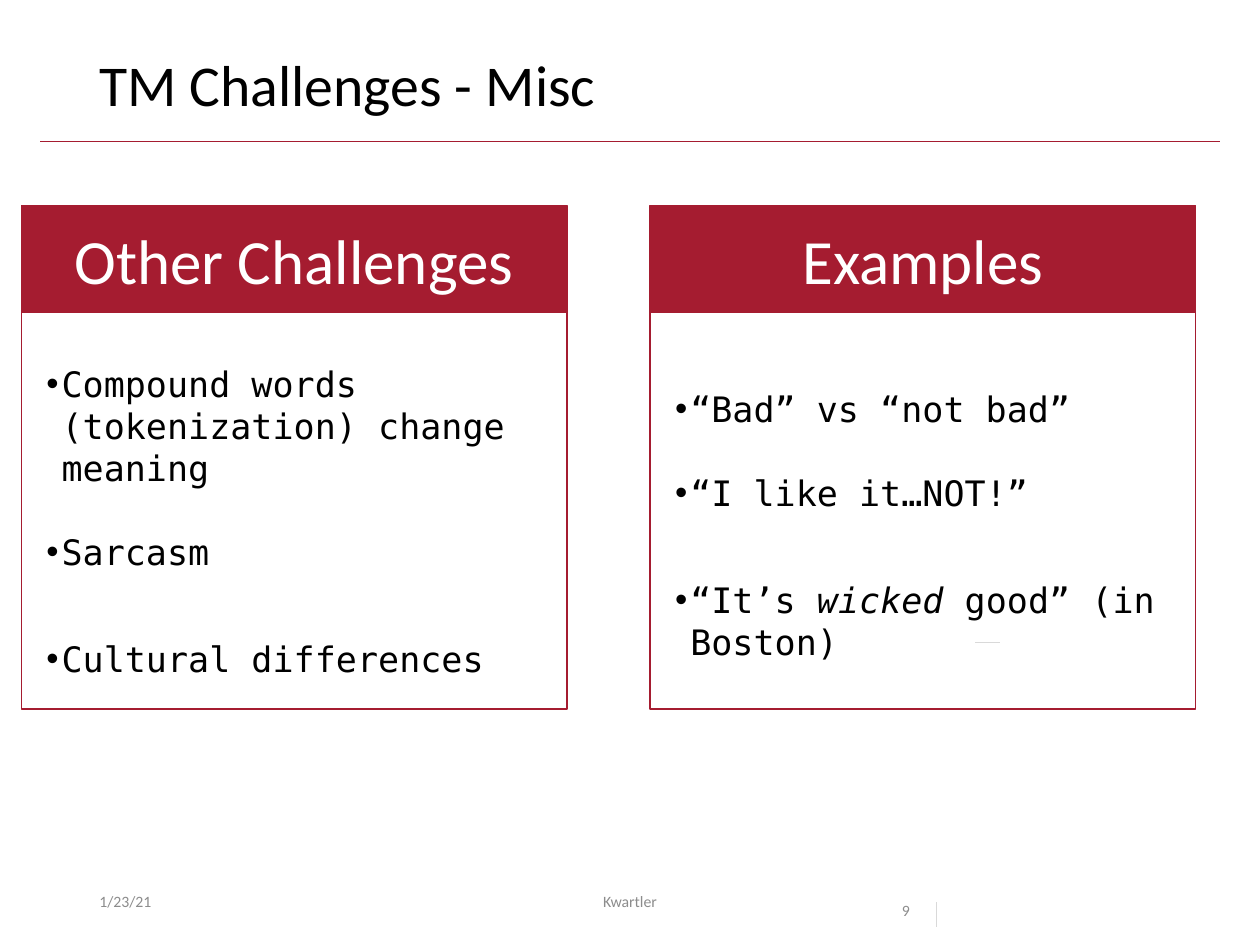
from lxml import etree
from pptx import Presentation
from pptx.dml.color import RGBColor
from pptx.enum import shapes, text
from pptx.oxml.ns import qn
from pptx.util import Inches, Pt

CRIMSON = RGBColor(0xA5, 0x1C, 0x30)
WHITE = RGBColor(0xFF, 0xFF, 0xFF)
BLACK = RGBColor(0, 0, 0)
GREY = RGBColor(0x8C, 0x8C, 0x8C)
PALE_GREY = RGBColor(0xD9, 0xD9, 0xD9)
LEFT, CENTER = text.PP_ALIGN.LEFT, text.PP_ALIGN.CENTER
TOP, MIDDLE = text.MSO_ANCHOR.TOP, text.MSO_ANCHOR.MIDDLE

prs = Presentation()
prs.slide_width, prs.slide_height = Inches(10), Inches(7.5)
slide = prs.slides.add_slide(prs.slide_layouts[6])


def add_rule(x1, y1, x2, y2, color):
    rule = slide.shapes.add_connector(
        shapes.MSO_CONNECTOR.STRAIGHT, Inches(x1), Inches(y1), Inches(x2), Inches(y2))
    rule.line.color.rgb = color
    rule.line.width = Pt(0.5)
    etree.SubElement(rule._element.spPr, qn("a:effectLst"))


def write_line(shape, words, size, color, align=LEFT, anchor=TOP, spacing=None):
    frame = shape.text_frame
    frame.word_wrap = True
    frame.vertical_anchor = anchor
    frame.text = words
    paragraph = frame.paragraphs[0]
    paragraph.alignment = align
    paragraph.line_spacing = spacing
    font = paragraph.runs[0].font
    font.name, font.size, font.color.rgb = "Calibri", Pt(size), color


add_rule(0.32, 1.12, 9.68, 1.12, CRIMSON)

# Title and footer
for words, left, top, width, height, size, color, align, anchor, spacing in [
    ("TM Challenges - Misc", 0.69, 0.4, 8.62, 0.65, 33, BLACK, LEFT, TOP, 0.9),
    ("1/23/21", 0.69, 6.95, 2.25, 0.4, 9, GREY, LEFT, MIDDLE, None),
    ("Kwartler", 3.31, 6.95, 3.38, 0.4, 9, GREY, CENTER, MIDDLE, None),
    ("9", 7.06, 6.95, 0.94, 0.4, 9, GREY, LEFT, TOP, 2.0),
]:
    label = slide.shapes.add_textbox(Inches(left), Inches(top), Inches(width), Inches(height))
    write_line(label, words, size, color, align, anchor, spacing)

# Two columns; each bullet is a list of (words, italic) pieces
columns = [
    ("Other Challenges", 0.17, 2.83, 2.31, [
        [("Compound words (tokenization) change meaning", False)],
        [("Sarcasm", False)],
        [("Cultural differences", False)],
    ]),
    ("Examples", 5.16, 3.03, 1.97, [
        [("“Bad” vs “not bad”", False)],
        [("“I like it…NOT!”", False)],
        [("“It’s ", False), ("wicked", True), (" good” (in Boston)", False)],
    ]),
]
gaps_before = [0, 24, 37]

for heading, left, list_top, list_height, bullets in columns:
    bullet_list = slide.shapes.add_textbox(
        Inches(left + 0.1), Inches(list_top), Inches(4.15), Inches(list_height))
    frame = bullet_list.text_frame
    frame.word_wrap = True
    frame.auto_size = text.MSO_AUTO_SIZE.SHAPE_TO_FIT_TEXT
    for index, (pieces, gap) in enumerate(zip(bullets, gaps_before)):
        paragraph = frame.paragraphs[0] if index == 0 else frame.add_paragraph()
        paragraph.space_before = Pt(gap)
        properties = paragraph._p.get_or_add_pPr()
        properties.set("marL", str(Inches(0.12)))
        properties.set("indent", str(Inches(-0.12)))
        etree.SubElement(properties, qn("a:buFont"), typeface="Arial")
        etree.SubElement(properties, qn("a:buChar"), char="•")
        for words, italic in pieces:
            run = paragraph.add_run()
            run.text = words
            run.font.name, run.font.size = "DejaVu Sans Mono", Pt(20)
            run.font.color.rgb = BLACK
            run.font.italic = italic

    header, border = [
        slide.shapes.add_shape(
            shapes.MSO_SHAPE.RECTANGLE, Inches(left), Inches(top), Inches(4.33), Inches(height))
        for top, height in [(1.63, 0.85), (1.78, 3.85)]
    ]
    for panel in (header, border):
        panel.shadow.inherit = False
        panel.line.color.rgb = CRIMSON
        panel.line.width = Pt(1)
    header.fill.solid()
    header.fill.fore_color.rgb = CRIMSON
    border.fill.background()
    write_line(header, heading, 36, WHITE, CENTER, MIDDLE)

add_rule(7.43, 7.16, 7.43, 7.36, PALE_GREY)
add_rule(7.74, 5.1, 7.94, 5.1, PALE_GREY)

prs.save("out.pptx")
